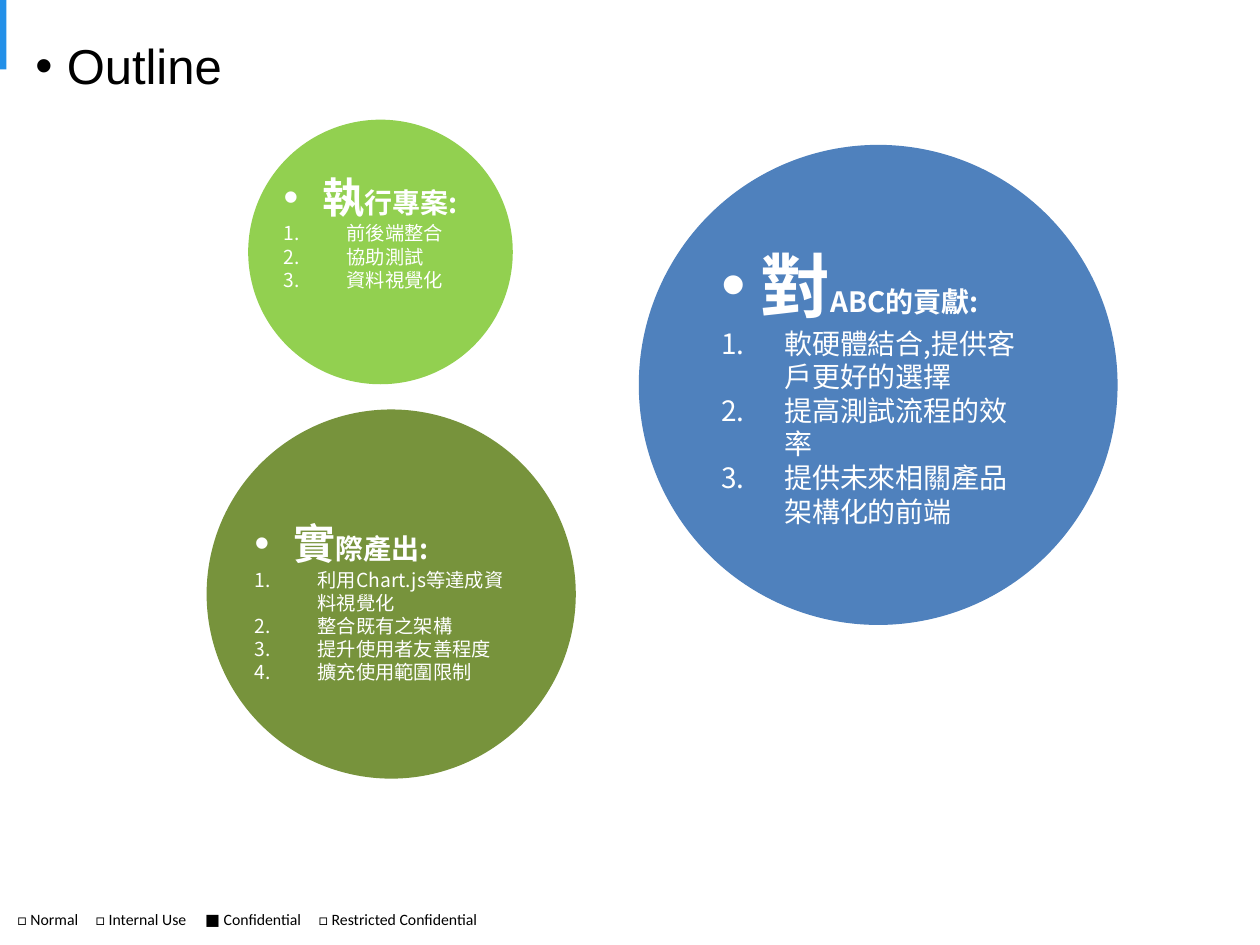
"""Build the outline slide with three circled lists."""
from dataclasses import dataclass

from lxml.etree import SubElement
from pptx import Presentation
from pptx.dml.color import RGBColor
from pptx.enum.shapes import MSO_SHAPE
from pptx.enum.text import MSO_ANCHOR, MSO_AUTO_SIZE, PP_ALIGN
from pptx.oxml.ns import qn
from pptx.util import Inches, Pt

ELLIPSE, RECTANGLE = MSO_SHAPE.OVAL, MSO_SHAPE.RECTANGLE
TOP, MIDDLE = MSO_ANCHOR.TOP, MSO_ANCHOR.MIDDLE
LEFT = PP_ALIGN.LEFT
NO_AUTOFIT = MSO_AUTO_SIZE.NONE

ACCENT = RGBColor(0x23, 0x90, 0xE8)
BLUE = RGBColor(0x4F, 0x81, 0xBD)
LIME = RGBColor(0x92, 0xD0, 0x50)
OLIVE = RGBColor(0x77, 0x93, 0x3C)
WHITE = RGBColor(0xFF, 0xFF, 0xFF)
BLACK = RGBColor(0, 0, 0)
CJK = "Noto Sans CJK SC"

Box = tuple[float, float, float, float]


@dataclass(frozen=True)
class Topic:
    """A circle with a heading and its numbered points."""
    circle: Box
    color: RGBColor
    initial: str
    heading: str
    points: tuple[str, ...]
    initial_size: int = 24
    point_size: int = 11
    list_box: Box | None = None


TOPICS = (
    Topic((5.07, 1.15, 3.8, 3.81), BLUE, "對", "ABC的貢獻:",
          ("軟硬體結合,提供客戶更好的選擇", "提高測試流程的效率",
           "提供未來相關產品架構化的前端"),
          initial_size=40, point_size=16),
    Topic((1.97, 0.95, 2.1, 2.1), LIME, "執", "行專案:",
          ("前後端整合", "協助測試", "資料視覺化"),
          list_box=(2.15, 1.31, 1.93, 0.93)),
    Topic((1.64, 3.25, 2.93, 2.93), OLIVE, "實", "際產出:",
          ("利用Chart.js等達成資料視覺化", "整合既有之架構",
           "提升使用者友善程度", "擴充使用範圍限制"),
          list_box=(1.92, 4.06, 2.29, 1.43)),
)
CLASSIFICATIONS = ("□ Normal", "□ Internal Use", "■ Confidential",
                   "□ Restricted Confidential")
CLASSIFICATION_TABS = (0.62, 1.49, 2.39)


def place(shape, box: Box) -> None:
    """Move and size a shape to a box in inches."""
    shape.left, shape.top, shape.width, shape.height = map(Inches, box)


def add_filled(slide, kind, box: Box, color: RGBColor):
    """Add a preset shape with a plain fill."""
    shape = slide.shapes.add_shape(kind, *map(Inches, box))
    shape.shadow.inherit = False
    shape.fill.solid()
    shape.fill.fore_color.rgb = color
    shape.line.fill.background()
    return shape


def prepare_frame(frame, *, anchor=TOP, inset_x=0.1, inset_y=0.05) -> None:
    """Set wrapping, anchor and insets of a text frame."""
    frame.word_wrap = True
    frame.auto_size = NO_AUTOFIT
    frame.vertical_anchor = anchor
    frame.margin_left = frame.margin_right = Inches(inset_x)
    frame.margin_top = frame.margin_bottom = Inches(inset_y)


def write(paragraph, text: str, *, size: int, font: str = CJK,
          color: RGBColor = WHITE, bold: bool = False) -> None:
    """Append a formatted run to a paragraph."""
    run = paragraph.add_run()
    run.text = text
    run.font.name, run.font.size, run.font.bold = font, Pt(size), bold
    run.font.color.rgb = color
    run.font.language_id = None
    SubElement(run.font._element, qn("a:ea"), typeface=font)


def format_item(paragraph, indent: float, *, numbered: bool = False,
                line_spacing: float = 1.0, before: int = 0) -> None:
    """Give a paragraph a hanging bullet or number."""
    paragraph.alignment = LEFT
    paragraph.line_spacing = line_spacing
    paragraph.space_before = Pt(before)
    properties = paragraph._p.get_or_add_pPr()
    properties.set("marL", str(Inches(indent)))
    properties.set("indent", str(-Inches(indent)))
    if numbered:
        SubElement(properties, qn("a:buFont"), typeface="+mj-lt")
        SubElement(properties, qn("a:buAutoNum"), type="arabicPeriod")
    else:
        SubElement(properties, qn("a:buFont"), typeface="Arial")
        SubElement(properties, qn("a:buChar"), char="•")


def fill_list(frame, topic: Topic) -> None:
    """Write the heading and numbered points of a topic."""
    heading = frame.paragraphs[0]
    format_item(heading, 0.31)
    write(heading, topic.initial, size=topic.initial_size, bold=True)
    write(heading, topic.heading, size=16, bold=True)
    for point in topic.points:
        item = frame.add_paragraph()
        format_item(item, 0.5, numbered=True)
        write(item, point, size=topic.point_size)


def add_topic(slide, topic: Topic, bodies) -> None:
    """Draw a topic circle and its list."""
    circle = add_filled(slide, ELLIPSE, topic.circle, topic.color)
    if topic.list_box is None:
        prepare_frame(circle.text_frame, anchor=MIDDLE)
        fill_list(circle.text_frame, topic)
        return
    body = next(bodies)
    place(body, topic.list_box)
    circle.element.addnext(body.element)
    prepare_frame(body.text_frame)
    fill_list(body.text_frame, topic)


def add_classification(slide) -> None:
    """Add the footer line of document classes."""
    footer = slide.shapes.add_textbox(*map(Inches, (0.04, 7.17, 4.5, 0.4)))
    prepare_frame(footer.text_frame)
    line = footer.text_frame.paragraphs[0]
    write(line, "\t".join(CLASSIFICATIONS), size=9, font="Calibri", color=BLACK)
    tabs = SubElement(line._p.get_or_add_pPr(), qn("a:tabLst"))
    for position in CLASSIFICATION_TABS:
        SubElement(tabs, qn("a:tab"), pos=str(Inches(position)), algn="l")


def build() -> None:
    """Assemble and save the slide."""
    deck = Presentation()
    deck.slide_width, deck.slide_height = Inches(10), Inches(7.5)
    slide = deck.slides.add_slide(deck.slide_layouts[3])
    title, *lists = slide.placeholders
    add_filled(slide, RECTANGLE, (0, 0, 0.05, 0.55), ACCENT)
    add_classification(slide)
    place(title, (0.28, 0.14, 9.41, 0.81))
    prepare_frame(title.text_frame, anchor=MIDDLE, inset_x=0, inset_y=0)
    outline = title.text_frame.paragraphs[0]
    format_item(outline, 0.25, line_spacing=0.9, before=10)
    write(outline, "Outline", size=28, font="Arial", color=BLACK)
    bodies = iter(lists)
    for topic in TOPICS:
        add_topic(slide, topic, bodies)
    deck.save("out.pptx")


build()
